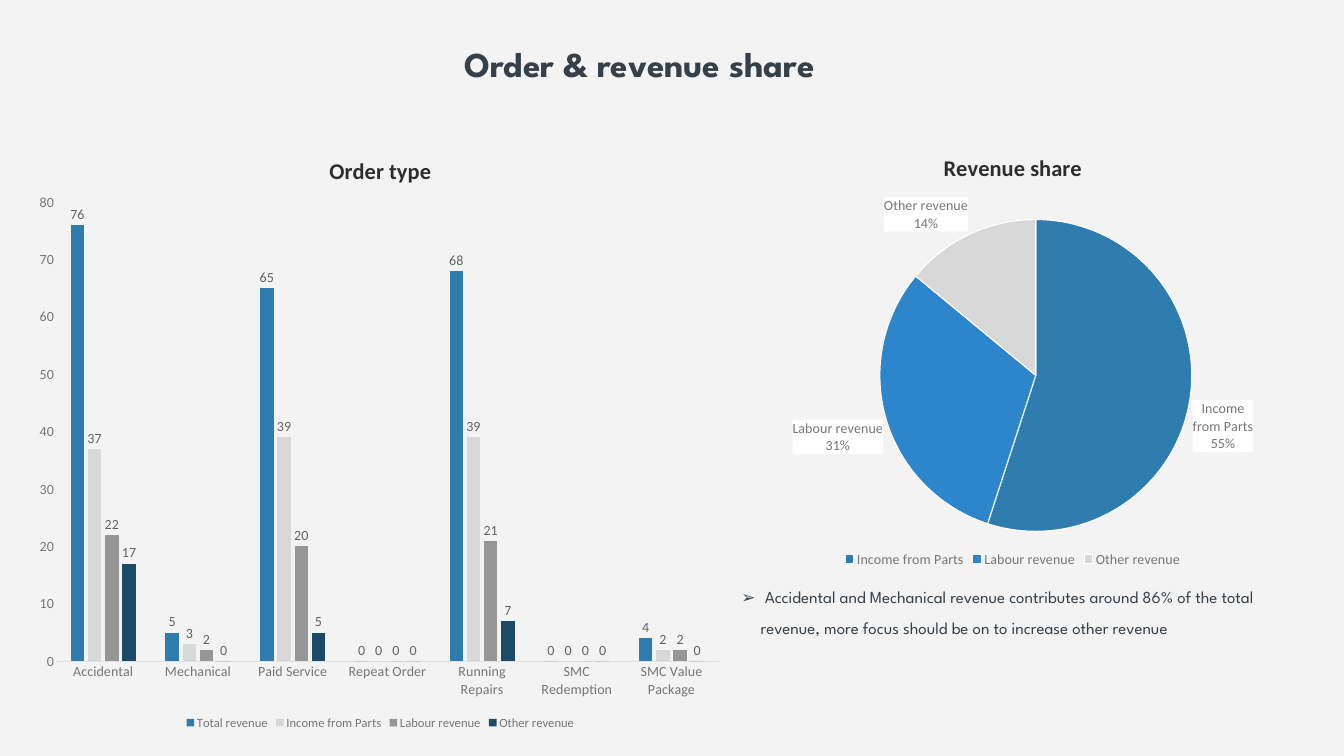
from pptx import Presentation
from pptx.chart.data import CategoryChartData
from pptx.dml.color import RGBColor
from pptx.enum.chart import XL_CHART_TYPE as Kind
from pptx.enum.chart import XL_LABEL_POSITION as LabelAt
from pptx.enum.chart import XL_LEGEND_POSITION as LegendAt
from pptx.enum.chart import XL_TICK_MARK as Tick
from pptx.enum.text import MSO_ANCHOR, MSO_AUTO_SIZE, PP_ALIGN
from pptx.oxml import parse_xml
from pptx.oxml.ns import nsdecls, qn
from pptx.util import Inches, Pt

PAPER = RGBColor(0xF3, 0xF3, 0xF3)
WHITE = RGBColor(0xFF, 0xFF, 0xFF)
SLATE = RGBColor(0x36, 0x40, 0x49)
INK = RGBColor(0x2D, 0x2D, 0x2D)
GREY = RGBColor(0x76, 0x76, 0x76)
LABEL_GREY = RGBColor(0x62, 0x62, 0x62)
AXIS_GREY = RGBColor(0xE0, 0xE0, 0xE0)
BLUE = RGBColor(0x2E, 0x7D, 0xAE)
BRIGHT_BLUE = RGBColor(0x2D, 0x85, 0xCB)
SILVER = RGBColor(0xD8, 0xD8, 0xD8)
MID_GREY = RGBColor(0x96, 0x96, 0x96)
NAVY = RGBColor(0x1C, 0x4B, 0x68)

ORDER_TYPES = ["Accidental", "Mechanical", "Paid Service", "Repeat Order",
               "Running Repairs", "SMC Redemption", "SMC Value Package"]
ORDERS = {
    "Total revenue": ([76, 5, 65, 0, 68, 0, 4], BLUE),
    "Income from Parts": ([37, 3, 39, 0, 39, 0, 2], SILVER),
    "Labour revenue": ([22, 2, 20, 0, 21, 0, 2], MID_GREY),
    "Other revenue": ([17, 0, 5, 0, 7, 0, 0], NAVY),
}
SHARES = {
    "Income from Parts": (55, BLUE),
    "Labour revenue": (31, BRIGHT_BLUE),
    "Other revenue": (14, SILVER),
}


class Deck:
    """Holds the style and the current slide, with a method per element."""

    text_font = "League Spartan"
    chart_font = "Calibri"

    def __init__(self, width, height):
        self.file = Presentation()
        self.file.slide_width, self.file.slide_height = Inches(width), Inches(height)
        self.slide = None

    def add_slide(self):
        self.slide = self.file.slides.add_slide(self.file.slide_layouts[5])
        fill = self.slide.background.fill
        fill.solid()
        fill.fore_color.rgb = PAPER

    def style(self, font, name, size, color, bold=False):
        font.name, font.size, font.bold = name, Pt(size), bold
        font.color.rgb = color

    def fill_text(self, shape, text, size, spacing, bold=False):
        frame = shape.text_frame
        frame.text = text
        frame.word_wrap = True
        frame.auto_size = MSO_AUTO_SIZE.NONE
        frame.vertical_anchor = MSO_ANCHOR.TOP
        paragraph = frame.paragraphs[0]
        paragraph.line_spacing = Pt(spacing)
        self.style(paragraph.runs[0].font, self.text_font, size, SLATE, bold)
        return paragraph

    def title(self, text, box):
        heading = self.slide.shapes.title
        heading.left, heading.top, heading.width, heading.height = map(Inches, box)
        self.fill_text(heading, text, 50, 85, True).alignment = PP_ALIGN.CENTER

    def bullet(self, text, box):
        takeaway = self.slide.shapes.add_textbox(*map(Inches, box))
        properties = self.fill_text(takeaway, text, 24, 44)._p.get_or_add_pPr()
        properties.set("marL", str(Inches(0.38)))
        properties.set("indent", str(-Inches(0.38)))
        properties.append(parse_xml(f'<a:buFont {nsdecls("a")} typeface="Wingdings 3"/>'
                                    .replace("Wingdings 3", "Arial")))
        properties.append(parse_xml(f'<a:buChar {nsdecls("a")} char="➢"/>'))

    def chart(self, kind, heading, data, box, plot_box, legend_size):
        chart = self.slide.shapes.add_chart(kind, *map(Inches, box), data).chart
        self.style(chart.font, self.chart_font, 10, INK)
        chart.has_title = True
        chart.chart_title.include_in_layout = False
        frame = chart.chart_title.text_frame
        frame.text = heading
        self.style(frame.paragraphs[0].runs[0].font, self.chart_font, 32, INK, True)
        chart.has_legend = True
        chart.legend.position = LegendAt.BOTTOM
        chart.legend.include_in_layout = False
        self.style(chart.legend.font, self.chart_font, legend_size, GREY)
        self.place_plot(chart, plot_box)
        return chart

    def place_plot(self, chart, plot_box):
        area = chart._chartSpace.find(".//" + qn("c:plotArea"))
        for layout in area.findall(qn("c:layout")):
            area.remove(layout)
        sizes = "".join(f'<c:{key} val="{value}"/>' for key, value in zip("xywh", plot_box))
        area.insert(0, parse_xml(
            f'<c:layout {nsdecls("c")}><c:manualLayout><c:layoutTarget val="inner"/>'
            f'<c:xMode val="edge"/><c:yMode val="edge"/>{sizes}'
            '</c:manualLayout></c:layout>'))

    def label(self, series, color, number_format):
        labels = series.data_labels
        self.style(labels.font, self.chart_font, 20, color)
        labels.number_format = number_format
        labels.number_format_is_linked = False
        labels.position = LabelAt.OUTSIDE_END
        return labels

    def columns(self, heading, categories, rows, box, plot_box):
        data = CategoryChartData(number_format="0")
        data.categories = categories
        for name, (values, _) in rows.items():
            data.add_series(name, values)
        chart = self.chart(Kind.COLUMN_CLUSTERED, heading, data, box, plot_box, 18)
        plot = chart.plots[0]
        plot.gap_width, plot.overlap, plot.vary_by_categories = 219, -27, False
        for series, (_, color) in zip(plot.series, rows.values()):
            series.format.fill.solid()
            series.format.fill.fore_color.rgb = color
            self.label(series, LABEL_GREY, "0").show_value = True
        for axis in (chart.category_axis, chart.value_axis):
            axis.major_tick_mark = axis.minor_tick_mark = Tick.NONE
            axis.has_major_gridlines = False
            self.style(axis.tick_labels.font, self.chart_font, 20, GREY)
        baseline = chart.category_axis.format.line
        baseline.color.rgb, baseline.width = AXIS_GREY, Pt(0.75)
        scale = chart.value_axis
        scale.minimum_scale, scale.maximum_scale, scale.major_unit = 0, 80, 10
        scale.tick_labels.number_format = "0"
        scale.tick_labels.number_format_is_linked = False
        scale.format.line.fill.background()

    def pie(self, heading, slices, box, plot_box):
        data = CategoryChartData()
        data.categories = list(slices)
        data.add_series("Series 1", [value for value, _ in slices.values()])
        chart = self.chart(Kind.PIE, heading, data, box, plot_box, 20)
        series = chart.plots[0].series[0]
        for index, (_, color) in enumerate(slices.values()):
            look = series.points[index].format
            look.fill.solid()
            look.fill.fore_color.rgb = color
            look.line.color.rgb, look.line.width = WHITE, Pt(1.5)
        labels = self.label(series, GREY, "0%")
        labels.show_value = False
        labels.show_category_name = labels.show_percentage = True
        element = labels._element
        element.find(qn("c:txPr")).addprevious(parse_xml(
            f'<c:spPr {nsdecls("c", "a")}><a:solidFill><a:srgbClr val="{WHITE}"/>'
            '</a:solidFill></c:spPr>'))
        element.find(qn("c:showBubbleSize")).addnext(parse_xml(
            f'<c:separator {nsdecls("c")}>\n</c:separator>'))

    def save(self):
        self.file.save("out.pptx")


def main():
    deck = Deck(26.66, 15)
    deck.add_slide()
    deck.columns("Order type", ORDER_TYPES, ORDERS,
                 (0.55, 2.71, 13.99, 11.83), (0.04, 0.11, 0.94, 0.77))
    deck.pie("Revenue share", SHARES,
             (15.02, 2.72, 10.14, 8.6), (0.24, 0.19, 0.61, 0.72))
    deck.title("Order & revenue share", (2.29, 0.45, 20.79, 1.15))
    deck.bullet(" Accidental and Mechanical revenue contributes around 86% of the total "
                "revenue, more focus should be on to increase other revenue",
                (14.61, 11.39, 11.51, 3.11))
    deck.save()


if __name__ == "__main__":
    main()
